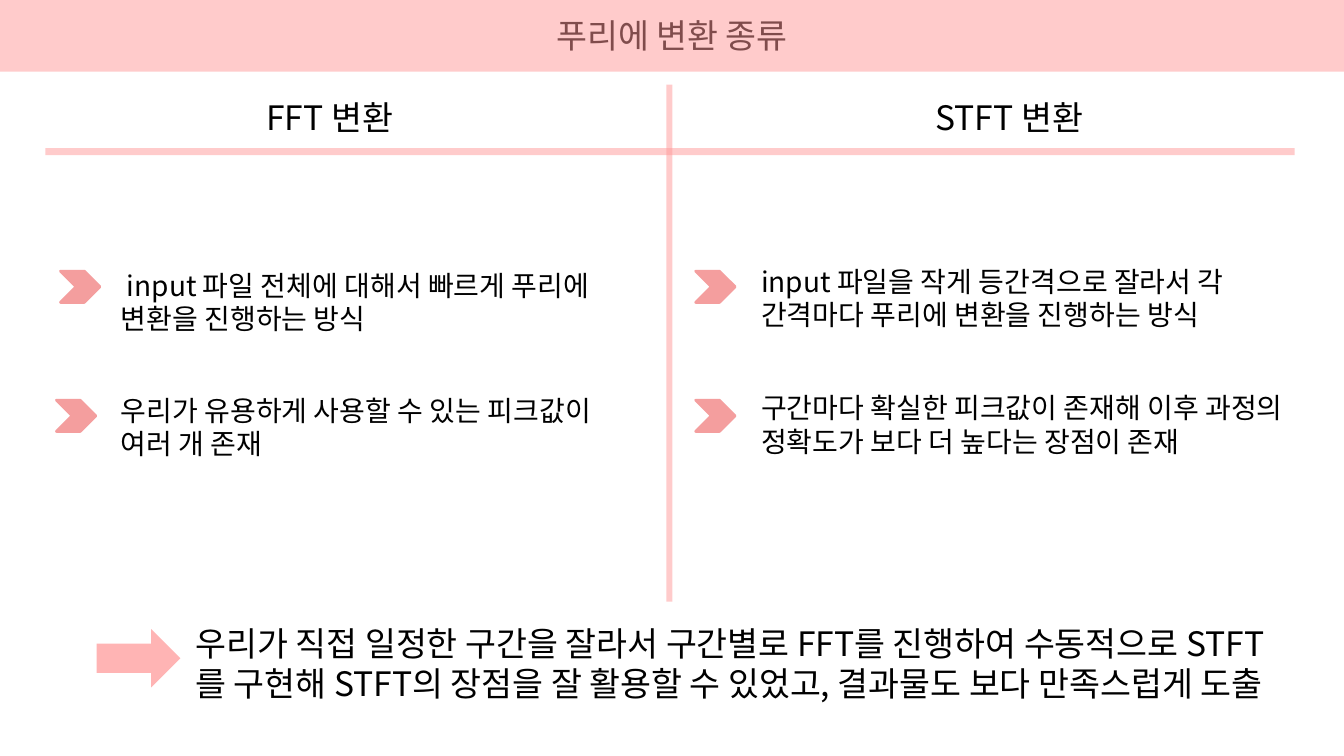
from pptx import Presentation
from pptx import util as u
from pptx.dml.color import RGBColor
from pptx.enum import shapes, text
from pptx.oxml.ns import qn
from lxml import etree

PINK = RGBColor(0xFF, 0x99, 0x99)
ROSE = RGBColor(0xF4, 0x9E, 0x9E)
BLACK = RGBColor(0, 0, 0)
FONT = "Noto Sans CJK KR"


class SlideBuilder:
    def __init__(self, slide):
        self.s = slide

    def shape(self, kind, box, color, alpha=100, line=0):
        sp = self.s.shapes.add_shape(kind, *(u.Inches(v) for v in box))
        sp.shadow.inherit = False
        sp.fill.solid()
        sp.fill.fore_color.rgb = color
        if alpha < 100:
            clr = sp._element.spPr.find(qn("a:solidFill")).find(qn("a:srgbClr"))
            etree.SubElement(clr, qn("a:alpha"), val=str(alpha * 1000))
        if line:
            sp.line.color.rgb = color
            sp.line.width = u.Pt(line)
        else:
            sp.line.fill.background()
        return sp

    def bar(self, *box):
        return self.shape(shapes.MSO_SHAPE.RECTANGLE, box, PINK, 50)

    def add_lines(self, sp, lines, size, align):
        tf = sp.text_frame
        tf.word_wrap = True
        tf.auto_size = text.MSO_AUTO_SIZE.NONE
        tf.vertical_anchor = text.MSO_ANCHOR.TOP
        for i, line in enumerate(lines):
            p = tf.paragraphs[0] if i == 0 else tf.add_paragraph()
            p.alignment = align
            r = p.add_run()
            r.text = line
            r.font.size = u.Pt(size)
            r.font.name = FONT
            r.font.color.rgb = BLACK
            rPr = r._r.get_or_add_rPr()
            etree.SubElement(rPr, qn("a:ea"), typeface=FONT)

    def title(self, line, box):
        sp = self.s.shapes.title
        sp.left, sp.top, sp.width, sp.height = (u.Inches(v) for v in box)
        self.add_lines(sp, [line], 24, text.PP_ALIGN.CENTER)

    def text(self, lines, box, size=24, align=text.PP_ALIGN.LEFT):
        sp = self.s.shapes.add_textbox(*(u.Inches(v) for v in box))
        self.add_lines(sp, lines, size, align)
        return sp

    def point(self, lines, box, chevron_left, chevron_top):
        self.shape(shapes.MSO_SHAPE.CHEVRON,
                   (chevron_left, chevron_top, 0.39, 0.31), ROSE, line=2)
        return self.text(lines, box, 20)


def main():
    prs = Presentation()
    prs.slide_width, prs.slide_height = u.Inches(13.33), u.Inches(7.5)
    b = SlideBuilder(prs.slides.add_slide(prs.slide_layouts[5]))

    b.bar(0, 0, 13.33, 0.71)
    b.title("푸리에 변환 종류", (5.27, 0.1, 2.79, 0.5))
    b.bar(6.61, 0.84, 0.06, 5.13)
    b.bar(0.45, 1.47, 12.39, 0.07)
    for heading, left in (("FFT 변환", 2.05), ("STFT 변환", 8.79)):
        b.text([heading], (left, 0.91, 2.44, 0.5), align=text.PP_ALIGN.CENTER)

    fft = b.point(["input 파일 전체에 대해서 빠르게 푸리에", "변환을 진행하는 방식"],
                  (1.1, 2.61, 6.67, 0.77), 0.6, 2.69)
    pPr = fft.text_frame.paragraphs[0]._p.get_or_add_pPr()
    pPr.set("indent", str(u.Inches(0.06)))
    b.point(["우리가 유용하게 사용할 수 있는 피크값이", "여러 개 존재"],
            (1.1, 3.85, 6.67, 0.77), 0.56, 3.97)
    b.point(["input 파일을 작게 등간격으로 잘라서 각 간격마다 푸리에 변환을 진행하는 방식"],
            (7.45, 2.57, 5.67, 1.08), 6.9, 2.69)
    b.point(["구간마다 확실한 피크값이 존재해 이후 과정의 정확도가 보다 더 높다는 장점이 존재"],
            (7.45, 3.83, 5.39, 0.77), 6.9, 3.97)

    b.text(["우리가 직접 일정한 구간을 잘라서 구간별로 FFT를 진행하여 수동적으로 "
            "STFT를 구현해 STFT의 장점을 잘 활용할 수 있었고, 결과물도 보다 만족스럽게 도출"],
           (1.84, 6.13, 11, 0.91))
    b.shape(shapes.MSO_SHAPE.RIGHT_ARROW, (0.96, 6.24, 0.83, 0.58), PINK, 73)
    prs.save("out.pptx")


if __name__ == "__main__":
    main()
